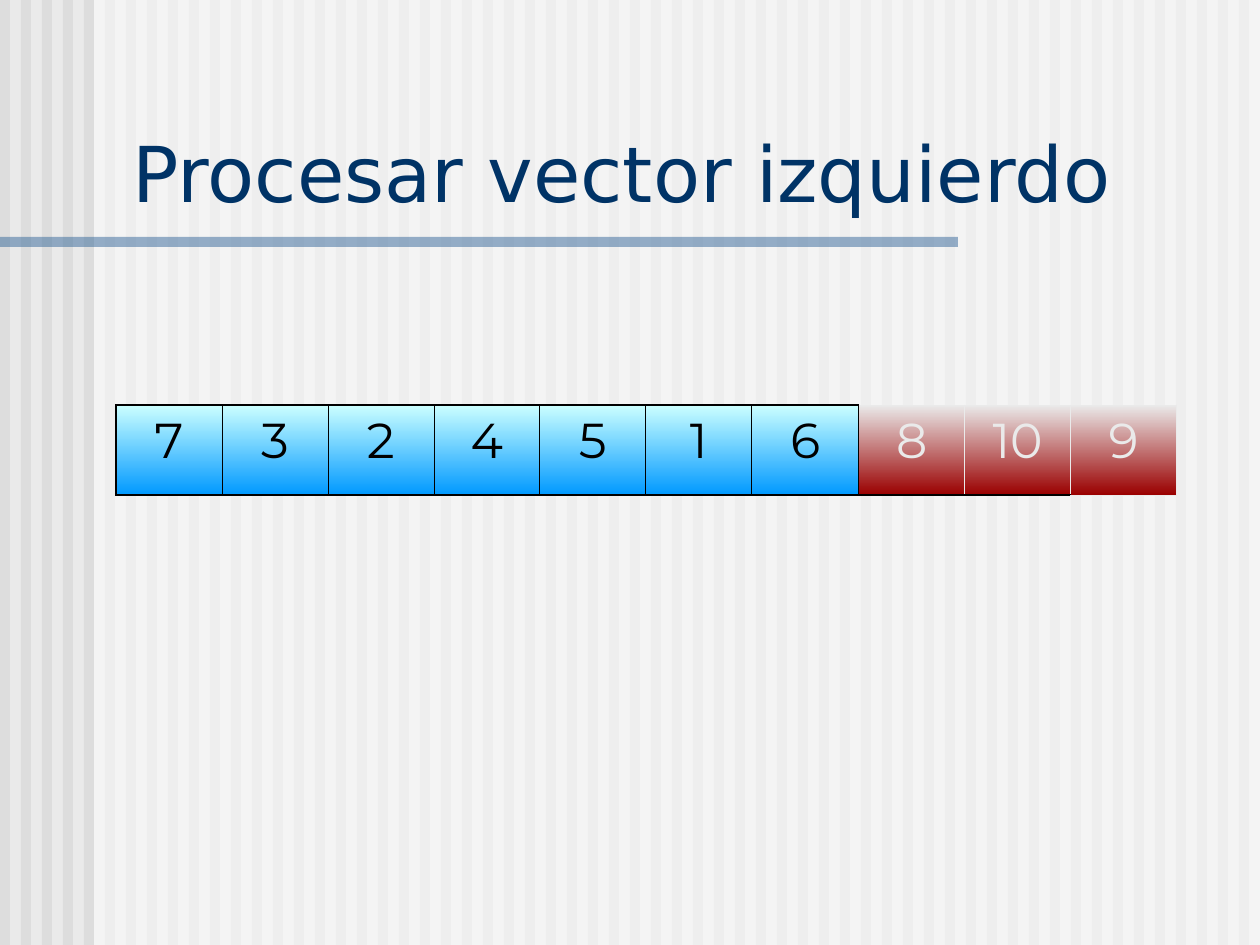
from lxml import etree
from pptx import Presentation
from pptx.dml.color import RGBColor
from pptx.enum.shapes import MSO_SHAPE
from pptx.enum.text import MSO_ANCHOR, MSO_AUTO_SIZE, PP_ALIGN
from pptx.oxml.ns import qn
from pptx.util import Pt

RECT = MSO_SHAPE.RECTANGLE
LEFT, CENTER = PP_ALIGN.LEFT, PP_ALIGN.CENTER
BOTTOM = MSO_ANCHOR.BOTTOM
GROW = MSO_AUTO_SIZE.SHAPE_TO_FIT_TEXT

BLACK = RGBColor(0x00, 0x00, 0x00)
WHITE = RGBColor(0xFF, 0xFF, 0xFF)
PALE = RGBColor(0xEA, 0xEA, 0xEA)
STRIPE = RGBColor(0xDD, 0xDD, 0xDD)
NAVY = RGBColor(0x00, 0x33, 0x66)
STEEL = RGBColor(0x33, 0x66, 0x99)
CYAN = RGBColor(0xCC, 0xFF, 0xFF)
BLUE = RGBColor(0x00, 0x99, 0xFF)
RED = RGBColor(0x9A, 0x00, 0x00)

EMU_PER_PX = 914400 / 126
WIDTH, HEIGHT = 1260, 945
STRIPE_PITCH, STRIPE_WIDTH = 21, 10
NO_STYLE = "{2D5ABB26-0587-4C30-8999-92F81FD0307C}"

COLUMNS = [106] * 6 + [78, 29, 106, 44, 62, 106]
ROW_HEIGHT = 90
MERGES = [(0, 6, 7), (0, 9, 10), (1, 6, 7), (1, 9, 10), (2, 7, 9)]
LEFT_VECTOR = {0: "7", 1: "3", 2: "2", 3: "4", 4: "5", 5: "1", 6: "6"}
RIGHT_VECTOR = {8: "8", 9: "10", 11: "9"}
THICK, THIN = (BLACK, 1.08), (BLACK, 0.45)
LIGHT = (PALE, 0.45)


def px(n):
    return round(n * EMU_PER_PX)


class Deck:
    title_font, digit_font = "DejaVu Sans", "Montserrat"

    def __init__(self):
        self.prs = Presentation()
        self.prs.slide_width, self.prs.slide_height = px(WIDTH), px(HEIGHT)
        self.slide = self.prs.slides.add_slide(self.prs.slide_layouts[5])
        fill = self.slide.background.fill
        fill.solid()
        fill.fore_color.rgb = PALE

    def rect(self, shapes, x, y, w, h, color, alpha=None):
        s = shapes.add_shape(RECT, px(x), px(y), px(w), px(h))
        s.shadow.inherit = False
        s.line.fill.background()
        s.fill.solid()
        s.fill.fore_color.rgb = color
        if alpha is not None:
            clr = s.fill._xPr.find(qn("a:solidFill"))[0]
            etree.SubElement(clr, qn("a:alpha"), val=str(alpha * 1000))

    def backdrop(self):
        shapes = self.slide.shapes.add_group_shape().shapes
        for x in range(0, WIDTH, STRIPE_PITCH):
            self.rect(shapes, x, 0, STRIPE_WIDTH, HEIGHT, STRIPE)
        self.rect(shapes, 94, 0, WIDTH - 94, HEIGHT, WHITE, 50)
        self.rect(shapes, 0, 237, 958, 10, STEEL, 50)

    def title(self, text, x, y, w, h):
        s = self.slide.shapes.title
        s.left, s.top, s.width, s.height = px(x), px(y), px(w), px(h)
        tf = s.text_frame
        tf.text = text
        tf.word_wrap = True
        tf.vertical_anchor = BOTTOM
        tf.auto_size = GROW
        p = tf.paragraphs[0]
        p.alignment = LEFT
        p.font.name, p.font.size = self.title_font, Pt(44)
        p.font.color.rgb = NAVY
        self.slide.shapes._spTree.append(s._element)

    def table(self, x, y, rows, columns, row_height):
        frame = self.slide.shapes.add_table(
            rows, len(columns), px(x), px(y), px(sum(columns)), px(rows * row_height))
        table = frame.table
        table.first_row = table.horz_banding = False
        table._tbl.tblPr.find(qn("a:tableStyleId")).text = NO_STYLE
        for column, width in zip(table.columns, columns):
            column.width = px(width)
        for row in table.rows:
            row.height = px(row_height)
        return table

    def digit(self, cell, text, color, gradient, borders):
        """Fill a vector cell; borders run left, right, top, bottom."""
        cell.text = text
        p = cell.text_frame.paragraphs[0]
        p.alignment = CENTER
        p.font.name, p.font.size = self.digit_font, Pt(28)
        p.font.color.rgb = color
        cell.fill.gradient()
        cell.fill.gradient_angle = 270
        for stop, rgb, position in zip(cell.fill.gradient_stops, gradient, (0, 1)):
            stop.color.rgb = rgb
            stop.position = position
        tcPr = cell._tc.get_or_add_tcPr()
        for i, (side, (rgb, width)) in enumerate(zip("LRTB", borders)):
            ln = etree.Element(qn(f"a:ln{side}"), w=str(Pt(width)))
            fill = etree.SubElement(ln, qn("a:solidFill"))
            etree.SubElement(fill, qn("a:srgbClr"), val=str(rgb))
            tcPr.insert(i, ln)


def main():
    deck = Deck()
    deck.backdrop()
    table = deck.table(116, 315, 3, COLUMNS, ROW_HEIGHT)
    for row, first, last in MERGES:
        table.cell(row, first).merge(table.cell(row, last))
    for col, text in LEFT_VECTOR.items():
        left = THIN if col else THICK
        deck.digit(table.cell(1, col), text, BLACK, (CYAN, BLUE),
                   (left, THIN, THICK, THICK))
    for col, text in RIGHT_VECTOR.items():
        left = THIN if col == 8 else LIGHT
        bottom = LIGHT if col == 11 else THICK
        deck.digit(table.cell(1, col), text, PALE, (PALE, RED),
                   (left, LIGHT, LIGHT, bottom))
    deck.title("Procesar vector izquierdo", 120, 118, 1125, 106)
    deck.prs.save("out.pptx")


if __name__ == "__main__":
    main()
